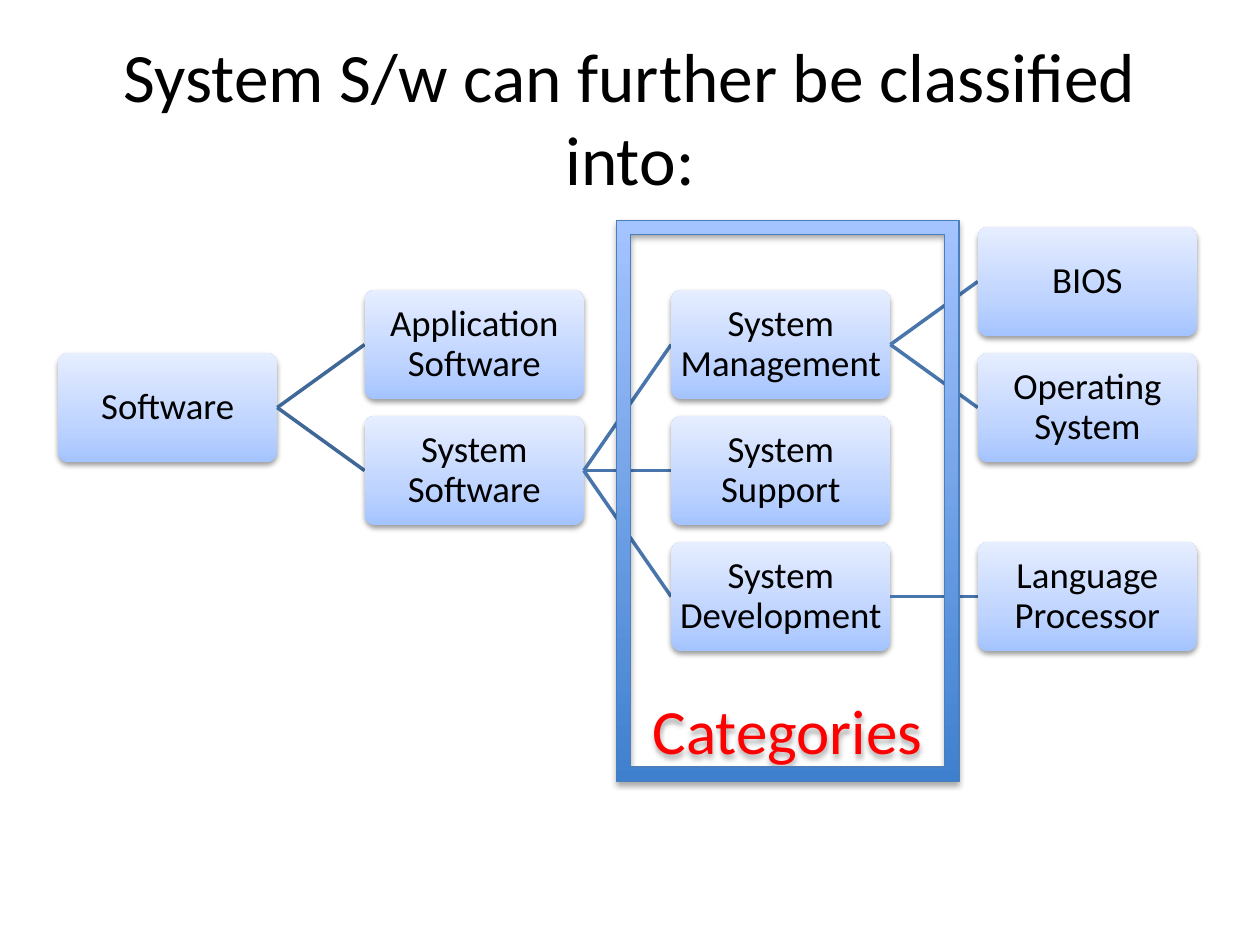
"""Build a slide that classifies system software as a tree."""
from dataclasses import dataclass

from lxml import etree
from pptx import Presentation
from pptx import util as u
from pptx.dml.color import RGBColor
from pptx.enum import shapes, text
from pptx.oxml import ns

BLACK = RGBColor(0x00, 0x00, 0x00)
RED = RGBColor(0xFF, 0x00, 0x00)
FRAME_EDGE = RGBColor(0x4B, 0x7E, 0xBC)
ROOT_LINK = RGBColor(0x3F, 0x67, 0x97)
BRANCH_LINK = RGBColor(0x48, 0x75, 0xAC)
DEEP_BLUE = RGBColor(0x3F, 0x80, 0xCE)
SOFT_BLUE = RGBColor(0xA4, 0xC4, 0xFF)
LIGHT_BLUE = RGBColor(0xBF, 0xD4, 0xFF)
PALE_BLUE = RGBColor(0xE6, 0xEE, 0xFF)
BOX_STOPS = ((0, SOFT_BLUE), (35, LIGHT_BLUE), (100, PALE_BLUE))
FRAME_STOPS = ((0, DEEP_BLUE), (100, SOFT_BLUE))

GRID_LEFT, GRID_TOP = 0.46, 1.8
COLUMN_STEP, ROW_STEP = 7.3 / 3, 0.5
BOX_WIDTH, BOX_HEIGHT = 1.74, 0.87
LABEL_MARGIN = 0.025


@dataclass(frozen=True)
class Node:
    label: str
    column: int
    row: int
    parent: "Node | None" = None

    @property
    def left(self) -> float:
        return GRID_LEFT + self.column * COLUMN_STEP

    @property
    def top(self) -> float:
        return GRID_TOP + self.row * ROW_STEP

    @property
    def middle(self) -> float:
        return self.top + BOX_HEIGHT / 2


SOFTWARE = Node("Software", 0, 2)
SYSTEM = Node("System Software", 1, 3, SOFTWARE)
MANAGEMENT = Node("System Management", 2, 1, SYSTEM)
DEVELOPMENT = Node("System Development", 2, 5, SYSTEM)
NODES = (
    SOFTWARE,
    Node("Application Software", 1, 1, SOFTWARE),
    SYSTEM,
    MANAGEMENT,
    Node("BIOS", 3, 0, MANAGEMENT),
    Node("Operating System", 3, 2, MANAGEMENT),
    Node("System Support", 2, 3, SYSTEM),
    DEVELOPMENT,
    Node("Language Processor", 3, 5, DEVELOPMENT),
)


def inches(*lengths: float) -> list:
    return [u.Inches(length) for length in lengths]


def write(frame, content: str, *, size: float, color=BLACK, inset=0.01,
          anchor=text.MSO_ANCHOR.MIDDLE, spacing=None) -> None:
    frame.word_wrap = True
    frame.auto_size = text.MSO_AUTO_SIZE.NONE
    frame.vertical_anchor = anchor
    frame.margin_left = frame.margin_right = u.Inches(inset)
    frame.margin_top = frame.margin_bottom = u.Inches(inset)
    para = frame.paragraphs[0]
    para.alignment = text.PP_ALIGN.CENTER
    para.line_spacing = spacing
    span = para.add_run()
    span.text = content
    span.font.size = u.Pt(size)
    span.font.name = "Calibri"
    span.font.color.rgb = color


def paint(shape, stops: tuple, *, opacity: int, distance: float) -> None:
    shape.fill.gradient()
    shape.fill.gradient_angle = 90
    stop_list = shape.element.spPr.find(".//" + ns.qn("a:gsLst"))
    for stop in list(stop_list):
        stop_list.remove(stop)
    for position, color in stops:
        stop = etree.SubElement(stop_list, ns.qn("a:gs"), pos=str(position * 1000))
        etree.SubElement(stop, ns.qn("a:srgbClr"), val=str(color))
    shape.shadow.inherit = False
    effects = shape.element.spPr.find(ns.qn("a:effectLst"))
    shadow = etree.SubElement(
        effects, ns.qn("a:outerShdw"), blurRad=str(u.Pt(3.1)),
        dist=str(u.Pt(distance)), dir="5400000", rotWithShape="0")
    shade = etree.SubElement(shadow, ns.qn("a:srgbClr"), val=str(BLACK))
    etree.SubElement(shade, ns.qn("a:alpha"), val=str(opacity * 1000))


def draw_link(page, node: Node) -> None:
    parent = node.parent
    link = page.shapes.add_connector(
        shapes.MSO_CONNECTOR.STRAIGHT,
        *inches(parent.left + BOX_WIDTH, parent.middle, node.left, node.middle))
    link.line.color.rgb = BRANCH_LINK if parent.parent else ROOT_LINK
    link.line.width = u.Pt(2)
    etree.SubElement(link.element.spPr, ns.qn("a:effectLst"))


def draw_node(page, node: Node) -> None:
    if node.parent:
        draw_link(page, node)
    box = page.shapes.add_shape(
        shapes.MSO_SHAPE.ROUNDED_RECTANGLE,
        *inches(node.left, node.top, BOX_WIDTH, BOX_HEIGHT))
    box.adjustments[0] = 0.1
    box.line.fill.background()
    paint(box, BOX_STOPS, opacity=38, distance=1.6)
    label = page.shapes.add_textbox(*inches(
        node.left + LABEL_MARGIN, node.top + LABEL_MARGIN,
        BOX_WIDTH - 2 * LABEL_MARGIN, BOX_HEIGHT - 2 * LABEL_MARGIN))
    write(label.text_frame, node.label, size=21, spacing=0.9)


def draw_frame(page) -> None:
    frame = page.shapes.add_shape(
        shapes.MSO_SHAPE.FRAME, *inches(4.89, 1.75, 2.72, 4.45))
    frame.adjustments[0] = 0.041
    frame.line.color.rgb = FRAME_EDGE
    frame.line.width = u.Pt(0.75)
    paint(frame, FRAME_STOPS, opacity=35, distance=1.8)
    write(frame.text_frame, "Categories", size=36, color=RED, inset=0,
          anchor=text.MSO_ANCHOR.BOTTOM)


def main() -> None:
    deck = Presentation()
    deck.slide_width, deck.slide_height = inches(10, 7.5)
    page = deck.slides.add_slide(deck.slide_layouts.get_by_name("Title Only"))
    title = page.shapes.title
    title.left, title.top, title.width, title.height = inches(0.5, 0.3, 9, 1.25)
    write(title.text_frame, "System S/w can further be classified into:",
          size=39.6, inset=0.08)
    for node in NODES:
        draw_node(page, node)
    draw_frame(page)
    deck.save("out.pptx")


main()
